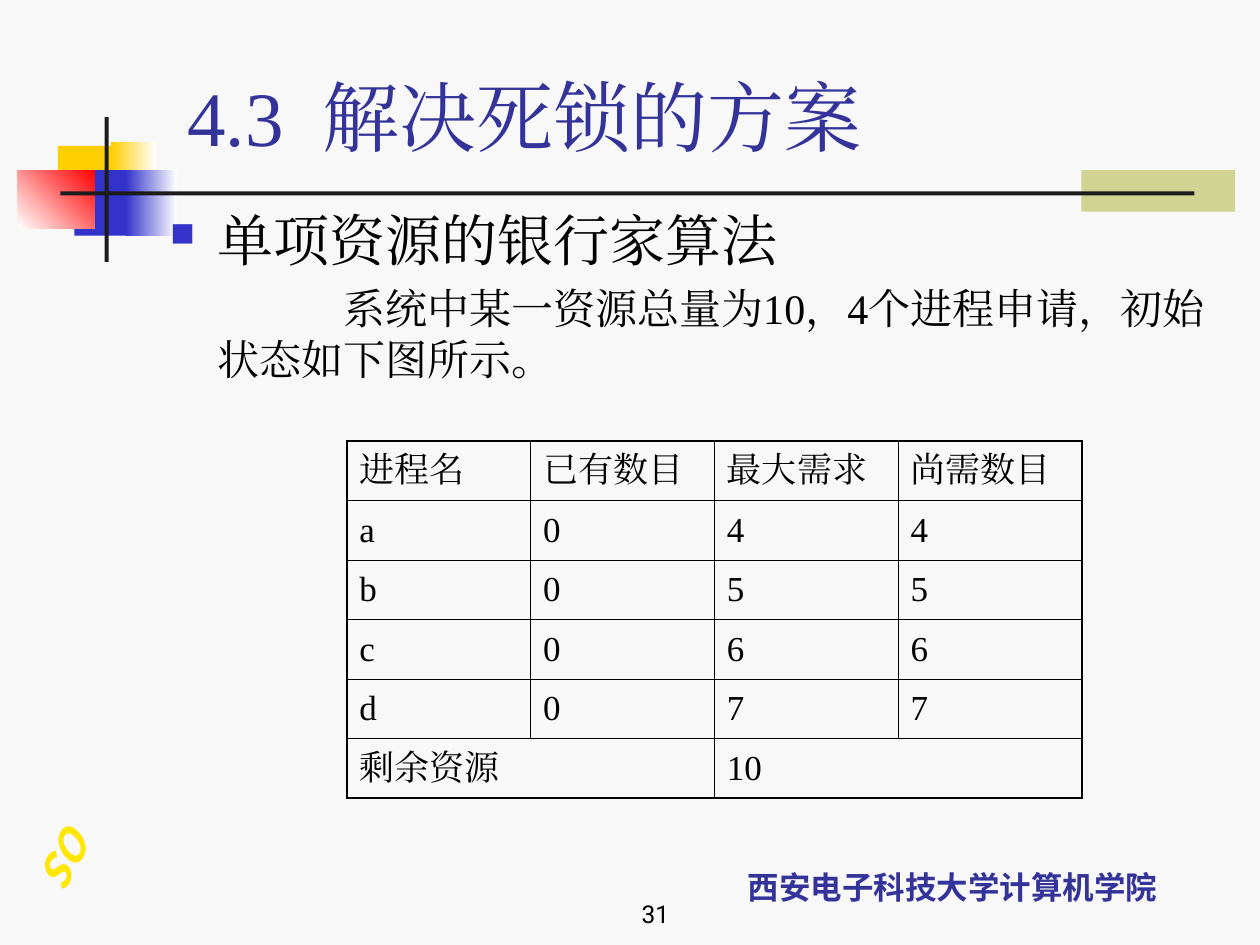
from pptx import Presentation
from pptx import oxml
from pptx import util as u
from pptx.dml import color
from pptx.enum import shapes, text
from pptx.oxml import ns

COLOURS = {
    "paper": "F8F8F8", "olive": "D1D393", "yellow": "FFCF01", "white": "FFFFFF",
    "blue": "3333CC", "red": "FF0000", "bar": "1C1C1C", "navy": "333399",
    "black": "000000", "gold": "FFE701",
}
SERIF, SANS, NUMBER = "Times New Roman", "Noto Sans CJK SC", "Roboto"
ROWS = [["进程名", "已有数目", "最大需求", "尚需数目"]]
ROWS += [[name, "0", str(need), str(need)] for name, need in zip("abcd", range(4, 8))]
ROWS += [["剩余资源", "", "10", ""]]


def rgb(name):
    """Return the named colour."""
    return color.RGBColor.from_string(COLOURS[name])


def add_child(parent, tag, **attributes):
    """Append a DrawingML element with the given attributes."""
    child = oxml.parse_xml(f"<a:{tag} {ns.nsdecls('a')}/>")
    for key, value in attributes.items():
        child.set(key, str(value))
    parent.append(child)
    return child


def style_runs(para, size, colour, font=SERIF, bold=False, italic=False):
    """Format every run of a paragraph, East Asian letters included."""
    for span in para.runs:
        span.font.size, span.font.name = u.Pt(size), font
        span.font.bold, span.font.italic = bold, italic
        span.font.color.rgb = rgb(colour)
        add_child(span._r.get_or_add_rPr(), "ea", typeface=font)


def add_text(page, box, words, anchor=text.MSO_ANCHOR.TOP, align=None, **style):
    """Add a wrapped text box holding one styled paragraph."""
    shape = page.shapes.add_textbox(*map(u.Cm, box))
    frame = shape.text_frame
    frame.text, frame.word_wrap, frame.vertical_anchor = words, True, anchor
    para = frame.paragraphs[0]
    para.alignment = align
    style_runs(para, **style)
    return shape


def add_block(page, box, colours, angle=0):
    """Add a borderless rectangle in one colour or a two-colour gradient."""
    shape = page.shapes.add_shape(shapes.MSO_SHAPE.RECTANGLE, *map(u.Cm, box))
    shape.shadow.inherit = False
    shape.line.fill.background()
    if len(colours) == 1:
        shape.fill.solid()
        shape.fill.fore_color.rgb = rgb(colours[0])
        return
    shape.fill.gradient()
    shape.fill.gradient_angle = angle
    for stop, name in zip(shape.fill.gradient_stops, colours):
        stop.color.rgb = rgb(name)


def add_motif(page, left, top):
    """Draw the coloured blocks and the crossing bars."""
    blocks = [
        (21.44, 1.07, 3.1, 0.84, ["olive"], 0),
        (0.81, 0.58, 1.22, 1.32, ["yellow"], 0),
        (1.88, 0.51, 0.91, 1.32, ["yellow", "white"], 0),
        (1.14, 1.07, 1.17, 1.32, ["blue"], 0),
        (2.18, 1.07, 1.02, 1.32, ["blue", "white"], 0),
        (0, 1.07, 1.55, 1.17, ["white", "red"], 45),
        (1.75, 0, 0.08, 2.92, ["bar"], 0),
        (0.86, 1.5, 22.86, 0.08, ["bar"], 0),
    ]
    for x, y, width, height, colours, angle in blocks:
        add_block(page, (left + x, top + y, width, height), colours, angle)


def add_title(page, box):
    """Write the heading with a widened gap after its number."""
    shape = add_text(page, box, "4.3", text.MSO_ANCHOR.BOTTOM, size=44, colour="navy")
    para = shape.text_frame.paragraphs[0]
    for words in (" ", "解决死锁的方案"):
        para.add_run().text = words
    style_runs(para, 44, "navy")
    para.runs[1]._r.get_or_add_rPr().set("spc", "1100")


def add_body(page, box):
    """Write the bulleted topic and its explanation."""
    shape = add_text(page, box, "单项资源的银行家算法", size=32, colour="black")
    topic = shape.text_frame.paragraphs[0]
    detail = shape.text_frame.add_paragraph()
    detail.text = "系统中某一资源总量为10，4个进程申请，初始状态如下图所示。"
    detail.space_before = u.Pt(6)
    style_runs(detail, 24, "black")
    for para, indent in ((topic, -0.95), (detail, 2.54)):
        properties = para._p.get_or_add_pPr()
        properties.set("marL", str(u.Cm(0.95)))
        properties.set("indent", str(u.Cm(indent)))
    properties = topic._p.get_or_add_pPr()
    add_child(add_child(properties, "buClr"), "srgbClr", val=COLOURS["blue"])
    add_child(properties, "buSzPct", val=60000)
    add_child(properties, "buChar", char="■")


def add_borders(cell, thick_sides):
    """Rule all four sides of a cell, thicker on the given ones."""
    properties = cell._tc.get_or_add_tcPr()
    for side in "LRTB":
        width = u.Pt(1.08 if side in thick_sides else 0.45)
        line = add_child(properties, f"ln{side}", w=width)
        add_child(add_child(line, "solidFill"), "srgbClr", val=COLOURS["black"])


def add_process_table(page, box):
    """Build the table of processes and their needs."""
    count, width = len(ROWS), len(ROWS[0])
    table = page.shapes.add_table(count, width, *map(u.Cm, box)).table
    table.first_row = table.horz_banding = False
    for column in (0, 2):
        table.cell(count - 1, column).merge(table.cell(count - 1, column + 1))
    for r, row in enumerate(ROWS):
        for c, words in enumerate(row):
            cell = table.cell(r, c)
            edges = {"L": c == 0, "R": c + cell.span_width == width,
                     "T": r == 0, "B": r == count - 1}
            add_borders(cell, [side for side, outer in edges.items() if outer])
            cell.fill.background()
            cell.vertical_anchor = text.MSO_ANCHOR.MIDDLE
            if words:
                cell.text = words
                style_runs(cell.text_frame.paragraphs[0], 20, "black")


def add_badge(page, box):
    """Write the tilted vertical course mark."""
    shape = add_text(page, box, "OS", text.MSO_ANCHOR.MIDDLE, size=24,
                     colour="gold", font=SANS, bold=True, italic=True)
    shape.rotation = 29.3
    frame = shape.text_frame
    frame.word_wrap = False
    frame.margin_left = frame.margin_right = u.Cm(0.13)
    frame.margin_top = frame.margin_bottom = u.Cm(0.25)
    frame._txBody.bodyPr.set("vert", "eaVert")


def add_footer(page, school_box, number_box):
    """Write the school name and the page number."""
    add_text(page, school_box, "西安电子科技大学计算机学院", text.MSO_ANCHOR.BOTTOM,
             text.PP_ALIGN.CENTER, size=18, colour="navy", font=SANS, bold=True)
    add_text(page, number_box, "31", text.MSO_ANCHOR.BOTTOM,
             text.PP_ALIGN.RIGHT, size=14, colour="black", font=NUMBER)


def main():
    """Build and save the deck."""
    deck = Presentation()
    deck.slide_width, deck.slide_height = u.Cm(25.4), u.Cm(19.05)
    page = deck.slides.add_slide(deck.slide_layouts[6])
    page.background.fill.solid()
    page.background.fill.fore_color.rgb = rgb("paper")
    add_motif(page, 0.36, 2.36)
    add_footer(page, (13.49, 16.92, 11.43, 1.47), (8.46, 17.58, 5.28, 1.27))
    add_badge(page, (0.46, 16.31, 1.68, 2.16))
    add_title(page, (3.53, 1.27, 21.64, 2.11))
    add_body(page, (3.18, 4.01, 21.59, 4.45))
    add_process_table(page, (6.99, 8.89, 14.82, 7.2))
    deck.save("out.pptx")


if __name__ == "__main__":
    main()
